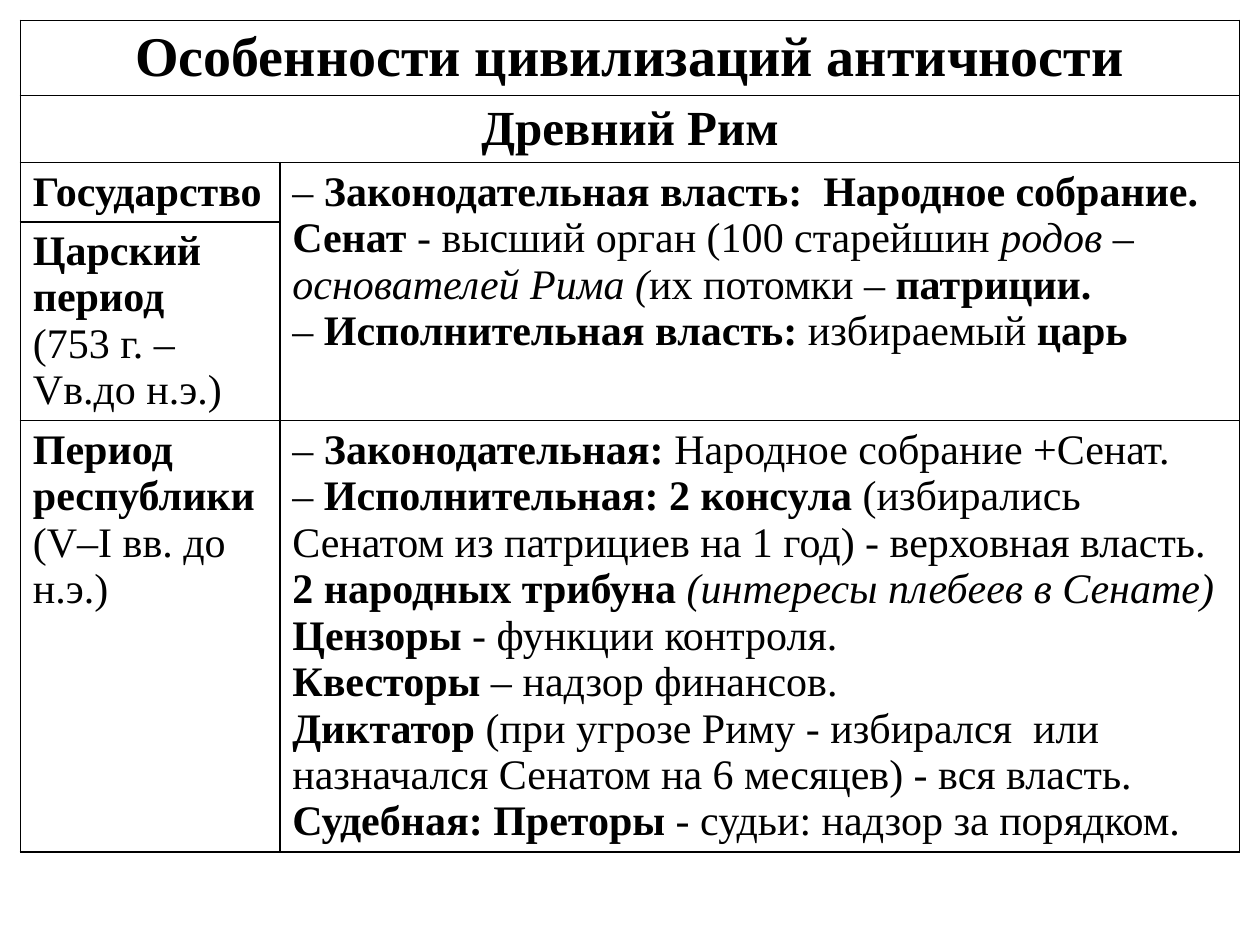
import pptx
import pptx.dml.color
import pptx.enum.text
import pptx.oxml
import pptx.oxml.ns
import pptx.util
from pptx.util import Cm

BLACK = pptx.dml.color.RGBColor(0, 0, 0)
WHITE = pptx.dml.color.RGBColor(255, 255, 255)
FONT = "Times New Roman"
LEFT, TOP = 0.41, 0.41
COLS = [5.23, 19.35]
ROWS = [1.52, 1.35, 1.19, 4.01, 8.69]
SPANS = [((0, 0), (0, 1)), ((1, 0), (1, 1)), ((2, 1), (3, 1))]

# Each cell: row, column, size, paragraphs of (text, style) runs; b bold, i italic
CELLS = [
    (0, 0, 32, [[("Особенности цивилизаций античности", "b")]]),
    (1, 0, 28, [[("Древний Рим", "b")]]),
    (2, 0, 24, [[("Государство", "b")]]),
    (2, 1, 24, [
        [("– ", ""), ("Законодательная власть:  Народное собрание.", "b")],
        [("Сенат ", "b"), ("- высший орган (100 старейшин ", ""),
         ("родов – основателей Рима (", "i"), ("их потомки – ", ""),
         ("патриции.", "b")],
        [("– ", ""), ("Исполнительная власть: ", "b"),
         ("избираемый ", ""), ("царь", "b")],
    ]),
    (3, 0, 24, [
        [("Царский период", "b")],
        [("(753 г. –Vв.до н.э.)", "")],
    ]),
    (4, 0, 24, [
        [("Период республики", "b")],
        [("(V–I вв. до н.э.)", "")],
    ]),
    (4, 1, 24, [
        [("– ", ""), ("Законодательная: ", "b"),
         ("Народное собрание +Сенат.", "")],
        [("– ", ""), ("Исполнительная: 2 консула ", "b"),
         ("(избирались Сенатом из патрициев на 1 год) - верховная власть.", "")],
        [("2 народных трибуна ", "b"), ("(интересы плебеев в Сенате)", "i")],
        [("Цензоры", "b"), (" - ", "i"), ("функции контроля.", "")],
        [("Квесторы", "b"), (" – ", "i"), ("надзор финансов.", "")],
        [("Диктатор ", "b"),
         ("(при угрозе Риму - избирался  или назначался Сенатом "
          "на 6 месяцев) - вся власть.", "")],
        [("Судебная: Преторы ", "b"), ("- ", "i"),
         ("судьи: надзор за порядком.", "")],
    ]),
]


def frame(cell):
    """Give the cell a white fill and thin black borders."""
    cell.fill.solid()
    cell.fill.fore_color.rgb = WHITE
    props = cell._tc.get_or_add_tcPr()
    for spot, side in enumerate(("lnL", "lnR", "lnT", "lnB")):
        props.insert(spot, pptx.oxml.parse_xml(
            f'<a:{side} {pptx.oxml.ns.nsdecls("a")} w="12700"><a:solidFill>'
            f'<a:srgbClr val="{BLACK}"/></a:solidFill></a:{side}>'))


def write(cell, size, paras):
    body = cell.text_frame
    for num, runs in enumerate(paras):
        para = body.add_paragraph() if num else body.paragraphs[0]
        if cell.is_merge_origin and cell.span_width > 1:
            para.alignment = pptx.enum.text.PP_ALIGN.CENTER
        for text, style in runs:
            run = para.add_run()
            run.text = text
            font = run.font
            font.name, font.size = FONT, pptx.util.Pt(size)
            font.bold, font.italic = style == "b", style == "i"
            font.color.rgb = BLACK


def main():
    deck = pptx.Presentation()
    deck.slide_width, deck.slide_height = Cm(25.4), Cm(19.05)
    slide = deck.slides.add_slide(deck.slide_layouts[6])
    table = slide.shapes.add_table(
        len(ROWS), len(COLS), Cm(LEFT), Cm(TOP),
        Cm(sum(COLS)), Cm(sum(ROWS))).table
    table.first_row = table.horz_banding = False
    for col, width in zip(table.columns, COLS):
        col.width = Cm(width)
    for row, height in zip(table.rows, ROWS):
        row.height = Cm(height)
    for cell in table.iter_cells():
        frame(cell)
    for first, last in SPANS:
        table.cell(*first).merge(table.cell(*last))
    for row, col, size, paras in CELLS:
        write(table.cell(row, col), size, paras)
    deck.save("out.pptx")


if __name__ == "__main__":
    main()
